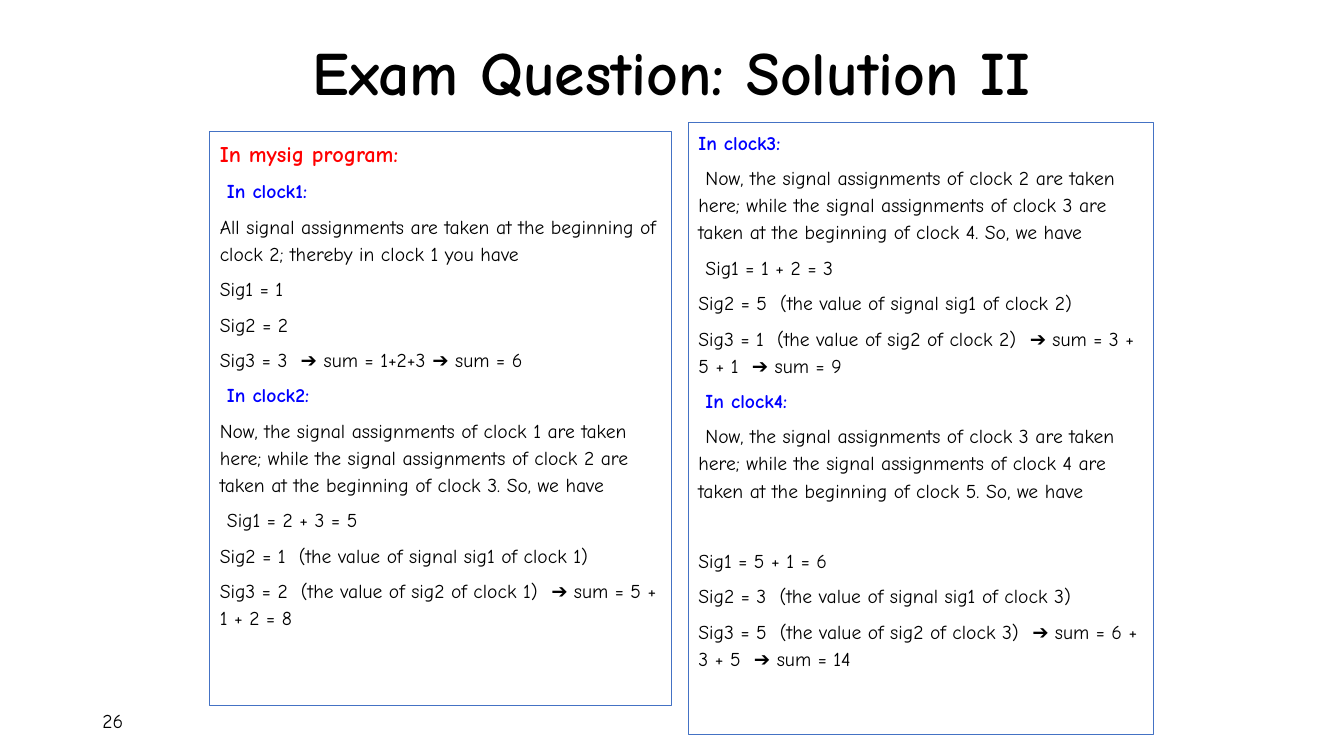
from pptx import Presentation
from pptx.dml.color import RGBColor
from pptx.enum.shapes import MSO_SHAPE as Shape
from pptx.enum.text import MSO_ANCHOR as Anchor, PP_ALIGN as Align
from pptx.util import Cm, Pt

BLACK = RGBColor(0x00, 0x00, 0x00)
WHITE = RGBColor(0xFF, 0xFF, 0xFF)
RED = RGBColor(0xFF, 0x00, 0x00)
BLUE = RGBColor(0x00, 0x00, 0xFF)
BORDER = RGBColor(0x44, 0x72, 0xC4)
FONT = "Comic Neue"


def write(paragraph, text, size=14, color=BLACK, bold=False, align=Align.LEFT,
          line=1.0, before=0, after=0, indent=0):
    """Fill one paragraph; indent shifts its first line only, in cm."""
    paragraph.alignment = align
    paragraph.line_spacing = line
    paragraph.space_before, paragraph.space_after = Pt(before), Pt(after)
    if indent:
        properties = paragraph._p.get_or_add_pPr()
        properties.set("marL", "0")
        properties.set("indent", str(Cm(indent)))
    run = paragraph.add_run()
    run.text = text
    run.font.name, run.font.size = FONT, Pt(size)
    run.font.bold, run.font.color.rgb = bold, color


class SolutionSlide:
    body = dict(line=1.15, after=6)
    nudge = dict(indent=0.18)
    clock = dict(color=BLUE, bold=True)

    def __init__(self, deck):
        self.slide = deck.slides.add_slide(deck.slide_layouts[6])

    def label(self, left, top, width, height, text, **style):
        frame = self.slide.shapes.add_textbox(
            Cm(left), Cm(top), Cm(width), Cm(height)).text_frame
        frame.word_wrap = True
        frame.vertical_anchor = Anchor.MIDDLE
        write(frame.paragraphs[0], text, **style)

    def panel(self, left, top, width, height, lines):
        box = self.slide.shapes.add_shape(
            Shape.RECTANGLE, Cm(left), Cm(top), Cm(width), Cm(height))
        box.shadow.inherit = False
        box.fill.solid()
        box.fill.fore_color.rgb = WHITE
        box.line.color.rgb, box.line.width = BORDER, Pt(0.75)
        frame = box.text_frame
        frame.word_wrap = True
        frame.vertical_anchor = Anchor.TOP
        for number, (text, style) in enumerate(lines):
            paragraph = frame.add_paragraph() if number else frame.paragraphs[0]
            write(paragraph, text, **self.body, **style)


def carry_over(clock):
    """Explain which assignments take effect in the given clock."""
    return (f"Now, the signal assignments of clock {clock - 1} are taken here; "
            f"while the signal assignments of clock {clock} are taken at the "
            f"beginning of clock {clock + 1}. So, we have")


def earlier_values(clock, sig2, sig3, total):
    """List the signals that take their value from the clock before."""
    return [
        (f"Sig2 = {sig2}  (the value of signal sig1 of clock {clock - 1})", {}),
        (f"Sig3 = {sig3}  (the value of sig2 of clock {clock - 1})  ➔ sum = {total}", {}),
    ]


def main():
    deck = Presentation()
    deck.slide_width, deck.slide_height = Cm(33.87), Cm(19.05)
    solution = SolutionSlide(deck)
    nudge, clock = solution.nudge, solution.clock

    # Title and page number
    solution.label(2.33, 1.02, 29.21, 1.78, "Exam Question: Solution II",
                   size=44, bold=True, align=Align.CENTER, line=0.9)
    solution.label(2.33, 17.65, 7.62, 1.02, "26")

    # Clocks 1 and 2
    solution.panel(5.29, 3.31, 11.64, 14.46, [
        ("In mysig program:", dict(size=16, color=RED, bold=True)),
        ("In clock1:", clock | nudge),
        ("All signal assignments are taken at the beginning of clock 2; "
         "thereby in clock 1 you have", {}),
        ("Sig1 = 1", {}),
        ("Sig2 = 2", {}),
        ("Sig3 = 3  ➔ sum = 1+2+3 ➔ sum = 6", {}),
        ("In clock2:", clock | nudge),
        (carry_over(2), {}),
        ("Sig1 = 2 + 3 = 5", nudge),
        *earlier_values(2, 1, 2, "5 + 1 + 2 = 8"),
    ])

    # Clocks 3 and 4
    solution.panel(17.35, 3.08, 11.73, 15.42, [
        ("In clock3:", clock),
        (carry_over(3), nudge),
        ("Sig1 = 1 + 2 = 3", nudge),
        *earlier_values(3, 5, 1, "3 + 5 + 1  ➔ sum = 9"),
        ("In clock4:", clock | nudge),
        (carry_over(4), nudge),
        ("Sig1 = 5 + 1 = 6", dict(before=25)),
        *earlier_values(4, 3, 5, "6 + 3 + 5  ➔ sum = 14"),
    ])

    deck.save("out.pptx")


if __name__ == "__main__":
    main()
